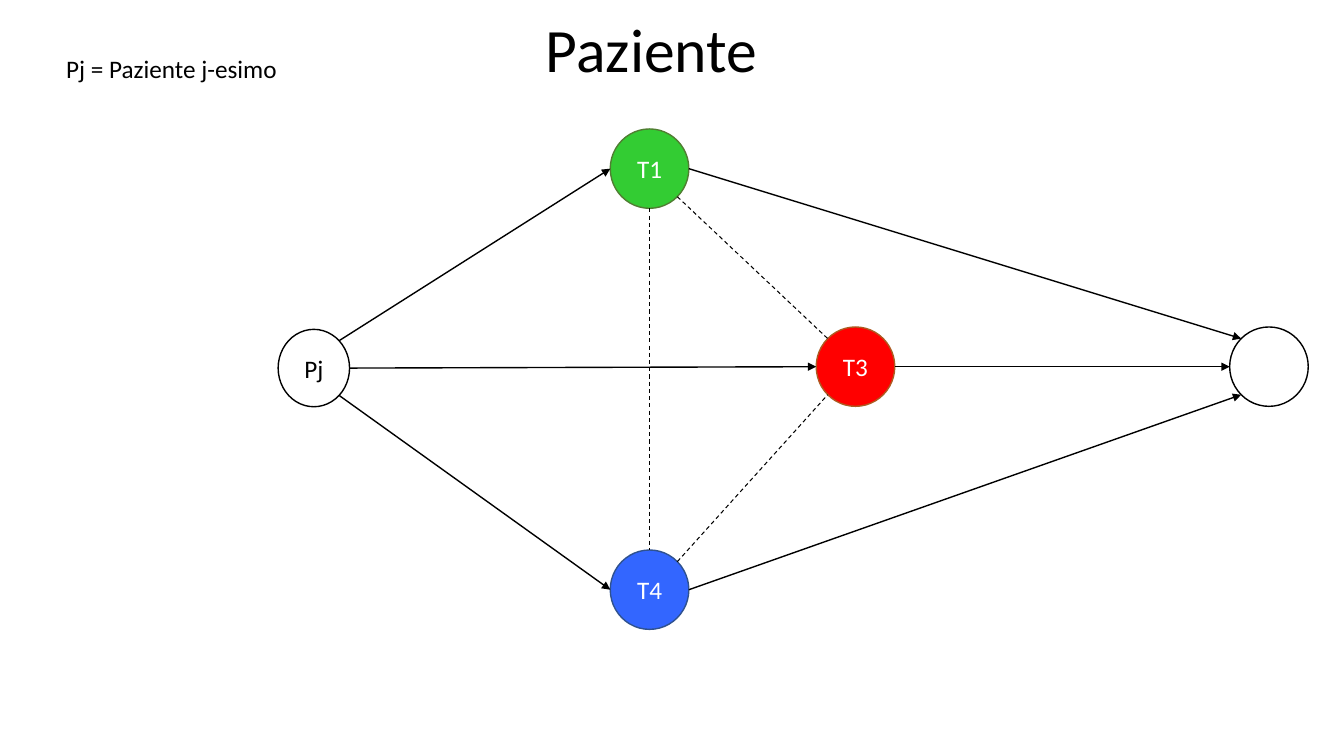
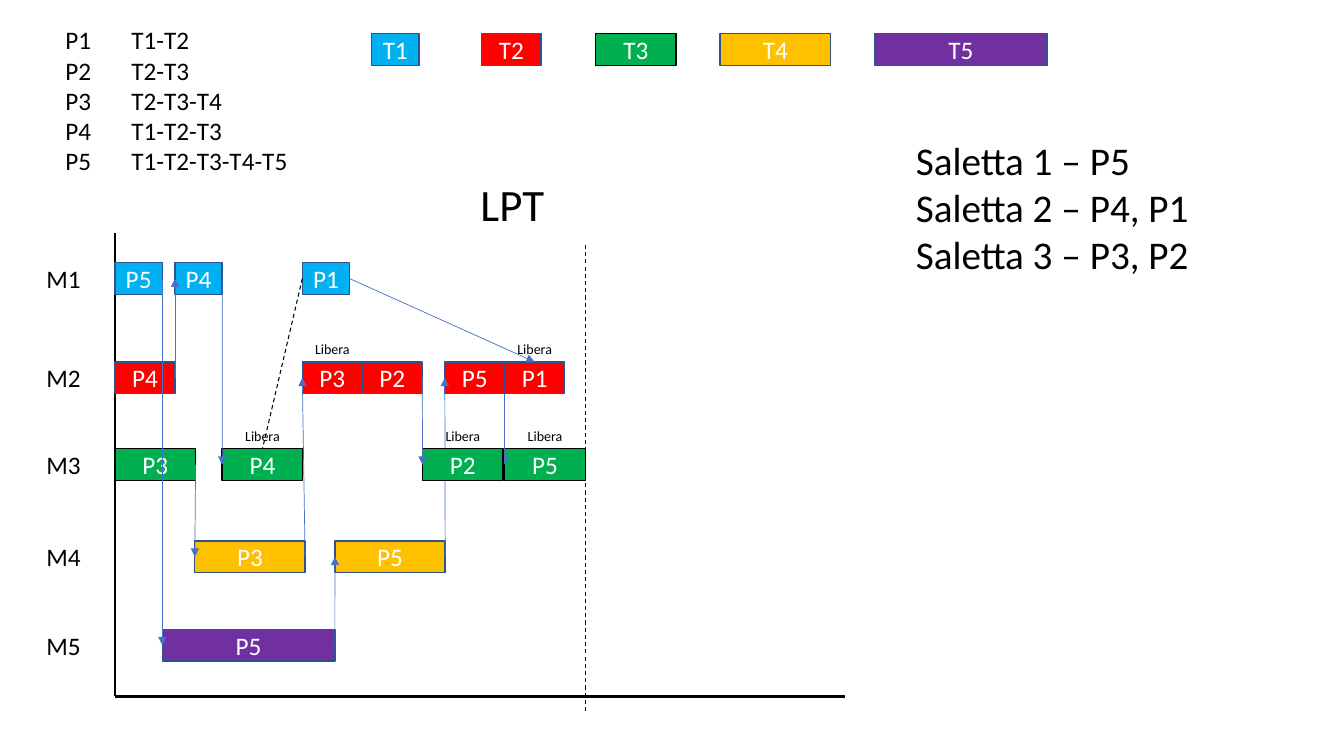
from dataclasses import dataclass
from math import cos, radians, sin

from lxml.etree import SubElement
from pptx import Presentation
from pptx.dml.color import RGBColor
from pptx.enum.dml import MSO_LINE
from pptx.enum.shapes import MSO_CONNECTOR, MSO_SHAPE
from pptx.enum.text import MSO_ANCHOR, PP_ALIGN
from pptx.oxml.ns import qn
from pptx.util import Cm, Pt


@dataclass(frozen=True)
class Theme:
    """Colours, font and type sizes shared by the slides."""

    font: str = "Calibri"
    black: str = "000000"
    white: str = "FFFFFF"
    outline: str = "2F528F"
    arrow: str = "4472C4"
    title: int = 44
    heading: int = 32
    rooms: int = 28
    body: int = 18
    note: int = 10


@dataclass(frozen=True)
class Box:
    """A rectangle in centimetres."""

    left: float
    top: float
    width: float
    height: float

    def lengths(self):
        """Return the four sides as lengths."""
        return Cm(self.left), Cm(self.top), Cm(self.width), Cm(self.height)

    def rim(self, angle):
        """Return the point of the inscribed ellipse at an angle in degrees."""
        turn = radians(angle)
        return (self.left + self.width / 2 * (1 + cos(turn)),
                self.top + self.height / 2 * (1 - sin(turn)))


@dataclass(frozen=True)
class Treatment:
    """Look and duration of a treatment and its place in the legend."""

    colour: str
    outline: str
    duration: float
    legend_left: float


THEME = Theme()
BAR_HEIGHT = 0.8
TOP, LEFT, RIGHT = 0, 1, 3

TREATMENTS = {
    1: Treatment("00B0F0", THEME.outline, 1.19, 0),
    2: Treatment("FF0000", THEME.outline, 1.51, 2.76),
    3: Treatment("00B050", THEME.black, 2.03, 5.64),
    4: Treatment("FFC000", THEME.outline, 2.78, 8.78),
    5: Treatment("7030A0", THEME.outline, 4.35, 12.67),
}
MACHINE_CENTRES = {1: 1.15, 2: 3.65, 3: 5.84, 4: 8.16, 5: 10.39}
ROUTES = {
    "P5": [(1, 0), (5, 1.19), (4, 5.54), (2, 8.31), (3, 9.82)],
    "P4": [(2, 0), (1, 1.51), (3, 2.7)],
    "P3": [(3, 0), (4, 2.01), (2, 4.72)],
    "P2": [(2, 6.23), (3, 7.75)],
    "P1": [(1, 4.72), (2, 9.82)],
}
DRAWING_GROUPS = [("P5", "P4", "P3"), ("P2", "P1")]
PATIENTS = ["P1\tT1-T2", "P2\tT2-T3", "P3\tT2-T3-T4", "P4\tT1-T2-T3",
            "P5\tT1-T2-T3-T4-T5"]
ROOMS = ["Saletta 1 – P5", "Saletta 2 – P4, P1", "Saletta 3 – P3, P2"]

NODES = {
    "Pj": (Box(7.01, 8.3, 1.8, 1.95), THEME.white, THEME.black, THEME.black),
    "T1": (Box(15.38, 3.25, 1.98, 2), "33CC33", "507E32", THEME.white),
    "T3": (Box(20.57, 8.24, 1.98, 2), "FF0000", "AE5A21", THEME.white),
    "T4": (Box(15.38, 13.86, 1.98, 2), "3366FF", THEME.outline, THEME.white),
    "": (Box(30.99, 8.24, 1.98, 2), THEME.white, THEME.black, THEME.black),
}
ARROWS = [("Pj", 45, "T1", 180), ("Pj", 0, "T3", 180), ("Pj", 315, "T4", 180),
          ("T4", 0, "", 225), ("T3", 0, "", 180), ("T1", 0, "", 135)]
CONFLICTS = [("T1", 270, "T4", 90), ("T1", 315, "T3", 135), ("T4", 45, "T3", 225)]


def style_paragraph(paragraph, size, colour, alignment=PP_ALIGN.LEFT):
    """Set the alignment and font of a paragraph."""
    paragraph.alignment = alignment
    paragraph.font.name = THEME.font
    paragraph.font.size = Pt(size)
    paragraph.font.color.rgb = RGBColor.from_string(colour)


def add_text(slide, box, lines, size, anchor=MSO_ANCHOR.TOP,
             alignment=PP_ALIGN.LEFT, tab=None):
    """Add a text box with one paragraph for each line."""
    frame = slide.shapes.add_textbox(*box.lengths()).text_frame
    frame.word_wrap = True
    frame.vertical_anchor = anchor
    for index, line in enumerate(lines):
        paragraph = frame.add_paragraph() if index else frame.paragraphs[0]
        paragraph.text = line
        if tab:
            properties = paragraph._p.get_or_add_pPr()
            stops = SubElement(properties, qn("a:tabLst"))
            SubElement(stops, qn("a:tab"), pos=str(Cm(tab)), algn="l")
        style_paragraph(paragraph, size, THEME.black, alignment)


def add_figure(slide, kind, box, text, fill, outline, text_colour=THEME.white):
    """Add a filled shape with a centred label."""
    shape = slide.shapes.add_shape(kind, *box.lengths())
    shape.shadow.inherit = False
    shape.fill.solid()
    shape.fill.fore_color.rgb = RGBColor.from_string(fill)
    shape.line.color.rgb = RGBColor.from_string(outline)
    shape.line.width = Pt(1)
    if text:
        frame = shape.text_frame
        frame.margin_left = frame.margin_right = 0
        frame.margin_top = frame.margin_bottom = 0
        frame.vertical_anchor = MSO_ANCHOR.MIDDLE
        frame.paragraphs[0].text = text
        style_paragraph(frame.paragraphs[0], THEME.body, text_colour, PP_ALIGN.CENTER)
    return shape


def add_line(slide, start=(0, 0), end=(0, 0), colour=THEME.black, width=1.0,
             arrow=False, dashed=False):
    """Add a straight line, optionally dashed or with an arrowhead."""
    points = [Cm(value) for value in (*start, *end)]
    connector = slide.shapes.add_connector(MSO_CONNECTOR.STRAIGHT, *points)
    connector.line.color.rgb = RGBColor.from_string(colour)
    connector.line.width = Pt(width)
    if dashed:
        connector.line.dash_style = MSO_LINE.DASH
    properties = connector.element.spPr
    if arrow:
        SubElement(properties.find(qn("a:ln")), qn("a:tailEnd"), type="triangle")
    SubElement(properties, qn("a:effectLst"))
    return connector


def join(slide, first, first_side, second, second_side, **style):
    """Join the sides of two rectangles with a line."""
    connector = add_line(slide, **style)
    connector.begin_connect(first, first_side)
    connector.end_connect(second, second_side)


def add_treatment_bar(slide, left, centre, number, text):
    """Add a bar as long as its treatment and return it with its box."""
    treatment = TREATMENTS[number]
    box = Box(left, centre - BAR_HEIGHT / 2, treatment.duration, BAR_HEIGHT)
    shape = add_figure(slide, MSO_SHAPE.RECTANGLE, box, text,
                       treatment.colour, treatment.outline)
    return shape, box


def add_network(slide, area):
    """Draw the patient's treatment graph in an area."""
    boxes = {}
    for name, (place, fill, outline, text_colour) in NODES.items():
        boxes[name] = Box(area.left + place.left, area.top + place.top,
                          place.width, place.height)
        add_figure(slide, MSO_SHAPE.OVAL, boxes[name], name, fill, outline, text_colour)
    for links, style in ((ARROWS, {"arrow": True}),
                         (CONFLICTS, {"dashed": True, "width": 0.75})):
        for first, first_angle, second, second_angle in links:
            add_line(slide, boxes[first].rim(first_angle),
                     boxes[second].rim(second_angle), **style)


def add_legend(slide, area):
    """Draw one bar for each treatment along an area."""
    for number, treatment in TREATMENTS.items():
        add_treatment_bar(slide, area.left + treatment.legend_left,
                          area.top + area.height / 2, number, f"T{number}")


def add_axes(slide, area):
    """Draw the axes and machine names of the schedule."""
    bottom = area.top + area.height
    corner = (area.left, bottom)
    add_line(slide, (area.left, area.top), corner, width=1.5)
    add_line(slide, corner, (area.left + area.width, bottom), width=1.5)
    for machine, centre in MACHINE_CENTRES.items():
        add_text(slide, Box(area.left - 1.98, area.top + centre - 0.51, 1.52, 1.02),
                 [f"M{machine}"], THEME.body, MSO_ANCHOR.MIDDLE)


def add_schedule(slide, area):
    """Draw the schedule of all patients with its moves and deadline."""
    add_axes(slide, area)
    bars = {}
    for group in DRAWING_GROUPS:
        for patient in group:
            bars[patient] = [
                add_treatment_bar(slide, area.left + start,
                                  area.top + MACHINE_CENTRES[machine], machine, patient)
                for machine, start in ROUTES[patient]]
        for patient in group:
            shapes = [shape for shape, box in bars[patient]]
            side = TOP if patient == "P1" else LEFT
            for first, second in zip(shapes, shapes[1:]):
                join(slide, first, RIGHT, second, side,
                     colour=THEME.arrow, width=0.5, arrow=True)
    last_boxes = [route[-1][1] for route in bars.values()]
    for box in last_boxes:
        add_text(slide, Box(box.left + box.width / 2 - 0.7, box.top - 0.66, 1.4, 0.68),
                 ["Libera"], THEME.note, alignment=PP_ALIGN.CENTER)
    deadline = max(box.left + box.width for box in last_boxes)
    add_line(slide, (deadline, area.top + 0.3), (deadline, area.top + area.height + 0.4),
             width=0.75, dashed=True)
    join(slide, bars["P1"][0][0], LEFT, bars["P4"][-1][0], TOP, width=0.75, dashed=True)


def build_patient_slide(slide, page):
    """Build the slide with the graph of one patient."""
    add_network(slide, page)
    add_text(slide, Box(page.left + 1.42, page.top + 1.22, 8.97, 1.03),
             ["Pj = Paziente j-esimo"], THEME.body)
    add_text(slide, Box(page.left + 13.51, page.top + 0.15, 12.9, 2.16),
             ["Paziente"], THEME.title)


def build_schedule_slide(slide, page):
    """Build the slide with the LPT schedule."""
    add_text(slide, Box(page.left + 1.4, page.top + 0.5, 7.5, 4),
             PATIENTS, THEME.body, tab=1.66)
    add_text(slide, Box(page.left + 11.86, page.top + 4.32, 3, 1.5),
             ["LPT"], THEME.heading)
    add_legend(slide, Box(page.left + 9.37, page.top + 0.85, 17.02, BAR_HEIGHT))
    add_schedule(slide, Box(page.left + 2.9, page.top + 5.87, 18.4, 11.68))
    add_text(slide, Box(page.left + 22.83, page.top + 3.3, 8.33, 3.84),
             ROOMS, THEME.rooms)


def main():
    """Build and save the presentation."""
    presentation = Presentation()
    page = Box(0, 0, 33.87, 19.05)
    presentation.slide_width = Cm(page.width)
    presentation.slide_height = Cm(page.height)
    for build in (build_patient_slide, build_schedule_slide):
        build(presentation.slides.add_slide(presentation.slide_layouts[6]), page)
    presentation.save("out.pptx")


if __name__ == "__main__":
    main()
